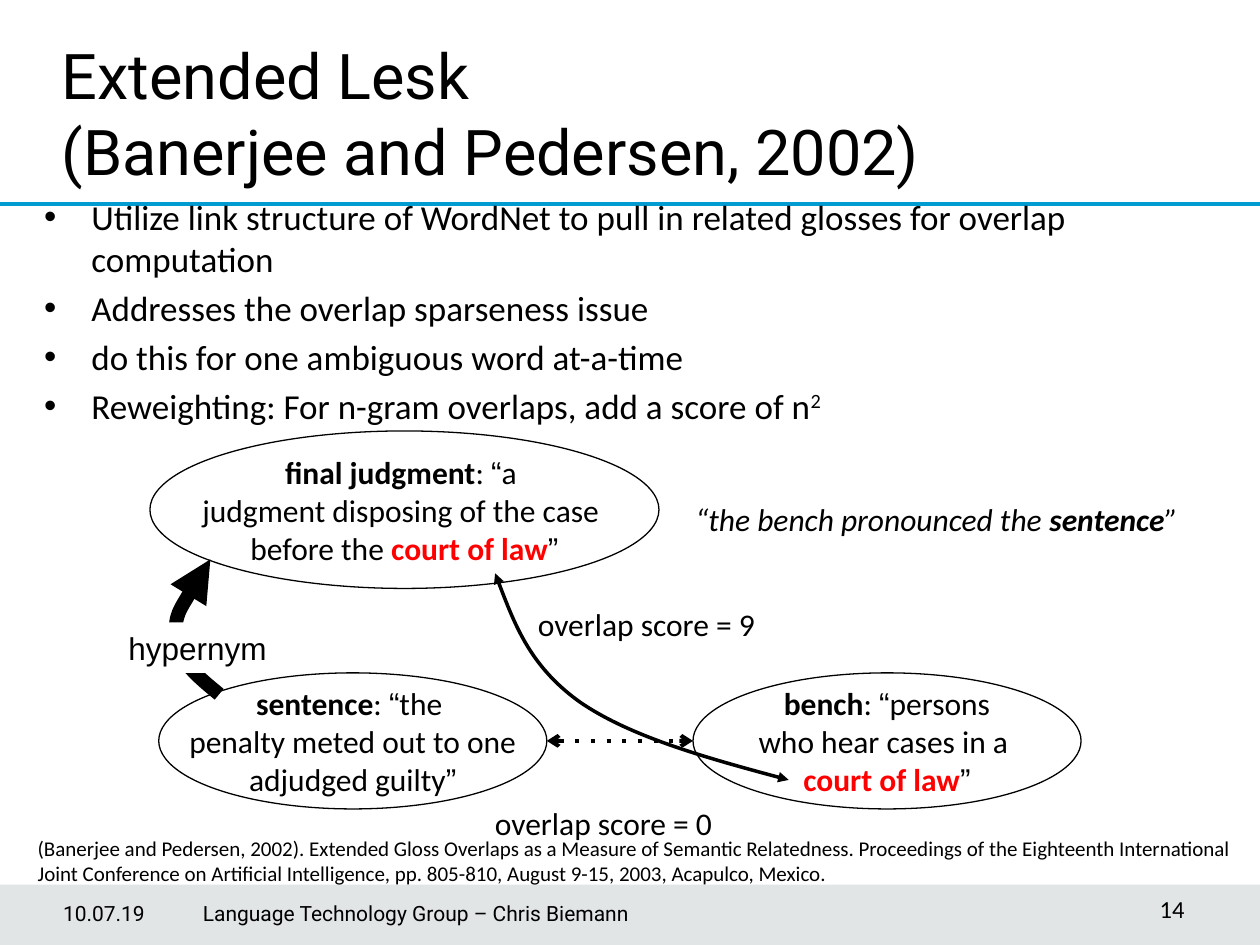
"""Build the Extended Lesk slide with its gloss overlap diagram."""
from lxml import etree
from pptx import Presentation
from pptx.dml.color import RGBColor
from pptx.enum import shapes, text
from pptx.oxml import ns
from pptx.util import Inches, Pt

THEME = {
    "ink": RGBColor(0, 0, 0), "paper": RGBColor(255, 255, 255),
    "accent": RGBColor(255, 0, 0), "rule": RGBColor(0x00, 0x9C, 0xD1),
    "band": RGBColor(0x3B, 0x51, 0x5B),
    "title": 36, "body": 20, "label": 18, "number": 14, "small": 12,
    "main": "Calibri", "head": "Roboto", "quote": "Arial",
}
BOLD = {"bold": True}
KEY = {"bold": True, "color": THEME["accent"]}
QUOTE = {"name": THEME["quote"]}
SUP = {"baseline": "30000"}
LEFT, CENTER, RIGHT = text.PP_ALIGN.LEFT, text.PP_ALIGN.CENTER, text.PP_ALIGN.RIGHT
TOP, MIDDLE = text.MSO_ANCHOR.TOP, text.MSO_ANCHOR.MIDDLE


def write(tf, paras, size, align=LEFT, anchor=TOP, wrap=True, **base):
    frame = {"auto_size": text.MSO_AUTO_SIZE.NONE, "word_wrap": wrap, "vertical_anchor": anchor}
    for key, value in frame.items():
        setattr(tf, key, value)
    for i, runs in enumerate(paras):
        p = tf.paragraphs[0] if i == 0 else tf.add_paragraph()
        p.alignment = align
        for words, extra in runs:
            if words == "\n":
                p.add_line_break()
                continue
            r = p.add_run()
            r.text = words
            fmt = {"name": THEME["main"], "size": Pt(THEME[size]), "color": THEME["ink"], **base, **extra}
            r.font.color.rgb = fmt.pop("color")
            if "baseline" in fmt:
                r._r.get_or_add_rPr().set("baseline", fmt.pop("baseline"))
            for key, value in fmt.items():
                setattr(r.font, key, value)


def stroke(sp, width, color=THEME["ink"], **ends):
    sp.line.color.rgb = color
    sp.line.width = Pt(width)
    spPr = sp._element.spPr
    ln = spPr.find(ns.qn("a:ln"))
    for tag, kind in ends.items():
        attr = "val" if tag == "prstDash" else "type"
        etree.SubElement(ln, ns.qn(f"a:{tag}")).set(attr, kind)
    if spPr.find(ns.qn("a:effectLst")) is None:
        etree.SubElement(spPr, ns.qn("a:effectLst"))


prs = Presentation()
prs.slide_width, prs.slide_height = Inches(10), Inches(7.5)
s = prs.slides.add_slide(prs.slide_layouts[1])
title, body = s.placeholders

band = s.shapes.add_shape(shapes.MSO_SHAPE.RECTANGLE, Inches(0), Inches(7.02), Inches(10), Inches(0.48))
band.shadow.inherit = False
band.fill.solid()
band.fill.fore_color.rgb = THEME["band"]
etree.SubElement(next(band._element.spPr.iter(ns.qn("a:srgbClr"))), ns.qn("a:alpha")).set("val", "15000")
band.line.fill.background()
rule = s.shapes.add_connector(shapes.MSO_CONNECTOR.STRAIGHT, Inches(0), Inches(1.62), Inches(10), Inches(1.62))
stroke(rule, 2, THEME["rule"])
for sp in (band, rule):
    title._element.addprevious(sp._element)

for sp, box in ((title, (0.39, 0.24, 7.52, 0.92)), (body, (0.25, 1.5, 9.45, 1.76))):
    sp.left, sp.top, sp.width, sp.height = map(Inches, box)
write(title.text_frame, [[("Extended Lesk", {}), ("\n", {}), ("(Banerjee and Pedersen, 2002)", {})]],
      "title", name=THEME["head"])
write(body.text_frame, [
    [("Utilize link structure of WordNet to pull in related glosses for overlap computation", {})],
    [("Addresses the overlap sparseness issue", {})],
    [("do this for one ambiguous word at-a-time", {})],
    [("Reweighting: For n-gram overlaps, add a score of n", {}), ("2", SUP)],
], "body")

glosses = [
    ((1.26, 5.34, 3.08, 1.08), "sentence", "the ",
     [[("penalty meted out to one", {})], [("adjudged guilty", {}), ("”", QUOTE)]]),
    ((1.19, 3.42, 4.04, 1.25), "final judgment", "a ",
     [[("judgment disposing of the case ", {})],
      [("before the ", {}), ("court of law", KEY), ("”", QUOTE)]]),
    ((5.5, 5.34, 3.08, 1.08), "bench", "persons",
     [[("who hear cases in a ", {})], [("court of law", KEY), ("”", QUOTE)]]),
]
for box, word, start, rest in glosses:
    sp = s.shapes.add_shape(shapes.MSO_SHAPE.OVAL, *map(Inches, box))
    sp.shadow.inherit = False
    sp.fill.solid()
    sp.fill.fore_color.rgb = THEME["paper"]
    stroke(sp, 0.75)
    first = [(word, BOLD), (": ", {}), ("“", QUOTE), (start, {})]
    write(sp.text_frame, [first] + rest, "label", CENTER, MIDDLE, False)

hypernym = s.shapes.add_group_shape()
curves = [
    (s.shapes, 2, {"headEnd": "triangle", "tailEnd": "triangle"},
     [(3.93, 4.55), (4.07, 4.92), (4.21, 5.29), (4.6, 5.57), (4.99, 5.84), (5.62, 6.02), (6.26, 6.19)]),
    (hypernym.shapes, 8, {"tailEnd": "triangle"},
     [(1.74, 5.51), (1.57, 5.37), (1.41, 5.24), (1.4, 5.06), (1.38, 4.88), (1.53, 4.66), (1.67, 4.44)]),
]
for parent, width, ends, knots in curves:
    points = [(Inches(x), Inches(y)) for x, y in knots]
    builder = parent.build_freeform(*points[0])
    builder.add_line_segments(points[1:], close=False)
    sp = builder.convert_to_shape()
    sp.shadow.inherit = False
    sp.fill.background()
    stroke(sp, width, **ends)
    segments = list(sp._element.iter(ns.qn("a:lnTo")))
    for i in range(0, len(segments), 3):
        bezier = etree.SubElement(segments[i].getparent(), ns.qn("a:cubicBezTo"))
        for segment in segments[i:i + 3]:
            bezier.append(segment[0])
            segment.getparent().remove(segment)

label = hypernym.shapes.add_shape(
    shapes.MSO_SHAPE.RECTANGLE, Inches(0.92), Inches(4.94), Inches(1.37), Inches(0.4))
label.shadow.inherit = False
label.fill.solid()
label.fill.fore_color.rgb = THEME["paper"]
label.line.fill.background()
write(label.text_frame, [[("hypernym", QUOTE)]], "label")

link = s.shapes.add_connector(shapes.MSO_CONNECTOR.STRAIGHT, Inches(4.34), Inches(5.88), Inches(5.5), Inches(5.88))
stroke(link, 2.25, prstDash="dot", headEnd="arrow", tailEnd="arrow")

citation = ("(Banerjee and Pedersen, 2002). Extended Gloss Overlaps as a Measure of Semantic Relatedness. "
            "Proceedings of the Eighteenth International Joint Conference on Artificial Intelligence, "
            "pp. 805-810, August 9-15, 2003, Acapulco, Mexico.")
example = [("“the bench pronounced the ", {}), ("sentence", BOLD), ("”", {})]
footer = {"anchor": MIDDLE, "name": THEME["head"]}
notes = [
    ((0.2, 6.58, 9.75, 0.5), [(citation, {})], "small", 0.1, {}),
    ((4.17, 4.75, 2.15, 0.4), [("overlap score = 9", {})], "label", 0.1, {}),
    ((3.83, 6.33, 2.15, 0.4), [("overlap score = 0", {})], "label", 0.1, {}),
    ((5.42, 3.92, 4.58, 0.4), example, "label", 0.1, {"italic": True}),
    ((0.5, 7.05, 0.99, 0.4), [("10.07.19", {})], "small", 0, footer),
    ((1.61, 7.05, 4.91, 0.4), [("Language Technology Group – Chris Biemann", {})], "small", 0, footer),
    ((7.98, 7.05, 1.52, 0.4), [("14", {})], "number", 0.1, {"align": RIGHT}),
]
for box, runs, size, inset, fmt in notes:
    tf = s.shapes.add_textbox(*map(Inches, box)).text_frame
    tf.margin_left = Inches(inset)
    write(tf, [runs], size, **fmt)

prs.save("out.pptx")
